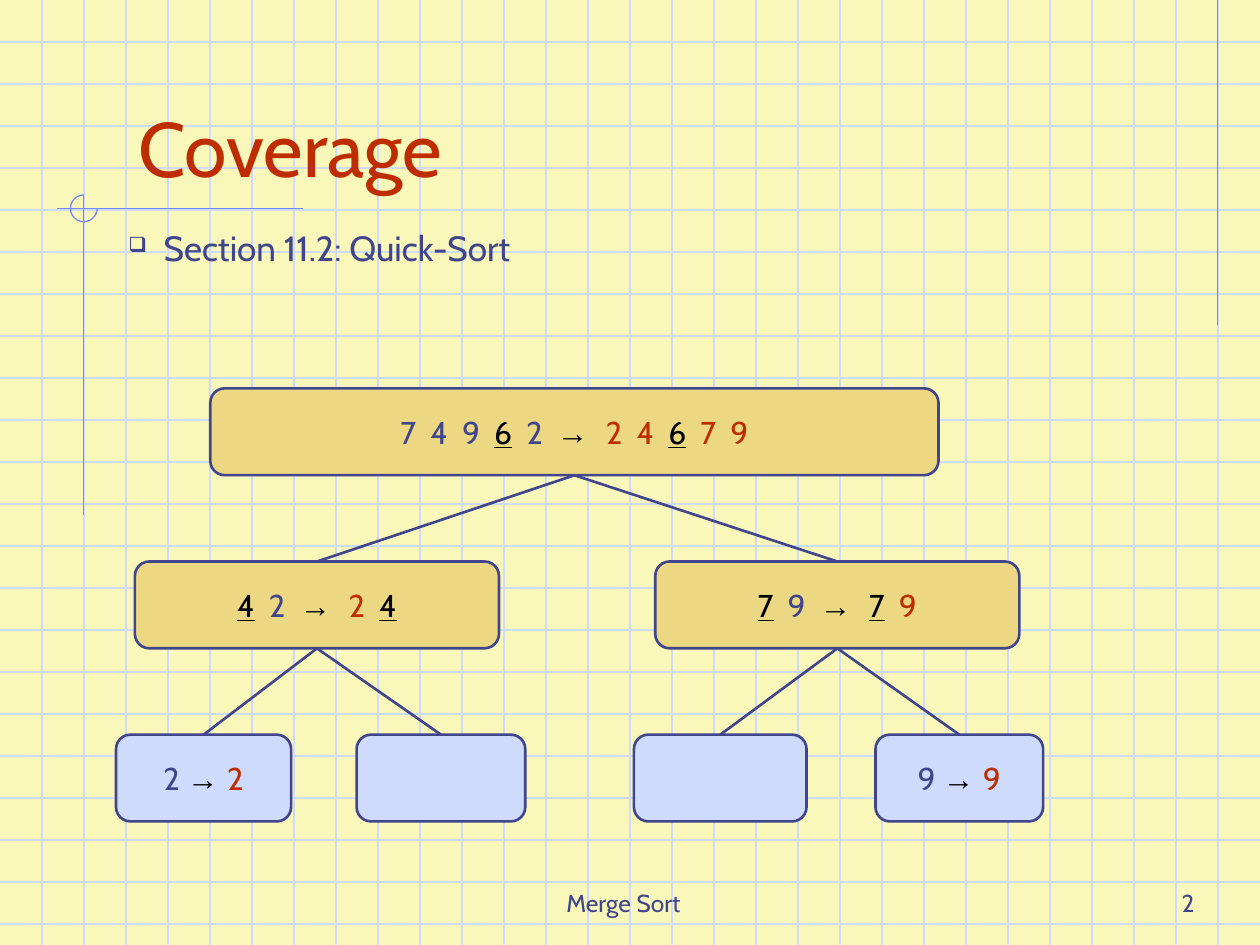
from lxml import etree
from pptx import Presentation
from pptx.dml.color import RGBColor
from pptx.enum.shapes import MSO_CONNECTOR, MSO_SHAPE
from pptx.enum.text import MSO_ANCHOR, PP_ALIGN
from pptx.oxml.ns import qn
from pptx.util import Cm, Pt

STRAIGHT = MSO_CONNECTOR.STRAIGHT
ROUNDED, ARC = MSO_SHAPE.ROUNDED_RECTANGLE, MSO_SHAPE.ARC
TOP, MIDDLE, BOTTOM = MSO_ANCHOR.TOP, MSO_ANCHOR.MIDDLE, MSO_ANCHOR.BOTTOM
LEFT, CENTER, RIGHT = PP_ALIGN.LEFT, PP_ALIGN.CENTER, PP_ALIGN.RIGHT

COLORS = {
    "paper": "F9F8BA", "grid": "CFDBFD", "accent": "6F89F7", "ink": "40458C",
    "red": "BE2D00", "black": "000000", "inner": "ECD882", "leaf": "CFDBFD",
}
RGB = {name: RGBColor.from_string(value) for name, value in COLORS.items()}

# Format of each kind of text: colour, then font attributes
STYLES = {
    "input": ("ink", {"name": "Cabin", "size": Pt(18)}),
    "sorted": ("red", {"name": "Cabin", "size": Pt(18)}),
    "pivot": ("black", {"name": "Cabin", "size": Pt(18), "underline": True}),
    "arrow": ("black", {"name": "Arial", "size": Pt(18), "bold": True}),
    "title": ("red", {"name": "Cabin", "size": Pt(44)}),
    "body": ("ink", {"name": "Cabin", "size": Pt(20)}),
    "footer": ("ink", {"name": "Cabin", "size": Pt(14)}),
}

deck = Presentation()
deck.slide_width, deck.slide_height = Cm(25.4), Cm(19.05)
page = deck.slides.add_slide(deck.slide_layouts[6])
page.background.fill.solid()
page.background.fill.fore_color.rgb = RGB["paper"]


def add_line(x1, y1, x2, y2, color, width=0.75):
    line = page.shapes.add_connector(STRAIGHT, x1, y1, x2, y2)
    line.line.color.rgb = RGB[color]
    line.line.width = Pt(width)
    etree.SubElement(line._element.spPr, qn("a:effectLst"))
    return line


def write_spans(frame, spans, align, anchor):
    """Fill the first paragraph of a text frame with (text, style) pairs."""
    frame.vertical_anchor = anchor
    para = frame.paragraphs[0]
    para.alignment = align
    for text, style in spans:
        span = para.add_run()
        span.text = text
        color, font_format = STYLES[style]
        span.font.color.rgb = RGB[color]
        for attribute, value in font_format.items():
            setattr(span.font, attribute, value)
    return para


# Graph paper: three squares to the inch
width, height = deck.slide_width, deck.slide_height
square = Cm(2.54) // 3
for row in range(1, 23):
    add_line(0, row * square, width, row * square, "grid")
for column in range(1, 30):
    add_line(column * square, 0, column * square, height, "grid")

# Margin lines and the ring where two of them cross
for x1, y1, x2, y2 in [(24.55, 0, 24.55, 6.55), (7.69 - 1.59, 4.21, 1.14, 4.21),
                       (1.69, 3.93, 1.69, 10.39)]:
    add_line(Cm(x1), Cm(y1), Cm(x2), Cm(y2), "accent")
ring = page.shapes.add_shape(ARC, Cm(1.42), Cm(3.93), Cm(0.54), Cm(0.54))
ring.adjustments[0], ring.adjustments[1] = 0, 162  # three quarters, clockwise
ring.shadow.inherit = False
ring.fill.background()
ring.line.color.rgb = RGB["accent"]
ring.line.width = Pt(0.75)

# Title, body and footer texts
TEXTS = [
    ("Merge Sort", "footer", 5.92, 17.35, 8.05, 1.27, RIGHT, BOTTOM),
    ("Coverage", "title", 2.54, 0.84, 21.59, 3.18, LEFT, BOTTOM),
    ("Section 11.2: Quick-Sort", "body", 2.34, 4.45, 17.98, 1.91, LEFT, TOP),
    ("2", "footer", 19.05, 17.35, 5.28, 1.27, RIGHT, BOTTOM),
]
for text, style, x, y, w, h, align, anchor in TEXTS:
    box = page.shapes.add_textbox(Cm(x), Cm(y), Cm(w), Cm(h))
    box.text_frame.word_wrap = True
    para = write_spans(box.text_frame, [(text, style)], align, anchor)
    if style == "body":
        properties = para._p.get_or_add_pPr()
        properties.set("marL", str(Cm(0.71)))
        properties.set("indent", str(-Cm(0.71)))
        bullet_color = etree.SubElement(properties, qn("a:buClr"))
        etree.SubElement(bullet_color, qn("a:srgbClr"), val=COLORS["ink"])
        etree.SubElement(properties, qn("a:buSzPct"), val="60000")
        etree.SubElement(properties, qn("a:buChar"), char="❑")

# Quick-sort tree: name, parent, level, left, width, spans
NODES = [
    ("root", None, 0, 4.24, 14.68,
     [("7  4  9  ", "input"), ("6", "pivot"), ("  2  ", "input"), ("→  ", "arrow"),
      ("2  4  ", "sorted"), ("6", "pivot"), ("  7  9", "sorted")]),
    ("low", "root", 1, 2.72, 7.34,
     [("4", "pivot"), ("  2  ", "input"), ("→  ", "arrow"),
      ("2  ", "sorted"), ("4", "pivot")]),
    ("high", "root", 1, 13.21, 7.34,
     [("7", "pivot"), ("  9  ", "input"), ("→  ", "arrow"),
      ("7", "pivot"), ("  9", "sorted")]),
    ("low left", "low", 2, 2.34, 3.53,
     [("2 ", "input"), ("→ ", "arrow"), ("2", "sorted")]),
    ("low right", "low", 2, 7.19, 3.4, []),
    ("high left", "high", 2, 12.78, 3.48, []),
    ("high right", "high", 2, 17.65, 3.38,
     [("9 ", "input"), ("→ ", "arrow"), ("9", "sorted")]),
]
nodes = {}
for name, parent, level, x, w, spans in NODES:
    node = page.shapes.add_shape(ROUNDED, Cm(x), Cm(7.83 + 3.49 * level), Cm(w), Cm(1.75))
    node.shadow.inherit = False
    node.fill.solid()
    node.fill.fore_color.rgb = RGB["leaf" if level == 2 else "inner"]
    node.line.color.rgb = RGB["ink"]
    node.line.width = Pt(1.5)
    if spans:
        node.text_frame.word_wrap = False
        write_spans(node.text_frame, spans, CENTER, MIDDLE)
    nodes[name] = node

    if parent:
        edge = add_line(0, 0, 0, 0, "ink", 1.5)
        edge.begin_connect(nodes[parent], 2)  # middle of the bottom side
        edge.end_connect(node, 0)  # middle of the top side

deck.save("out.pptx")
